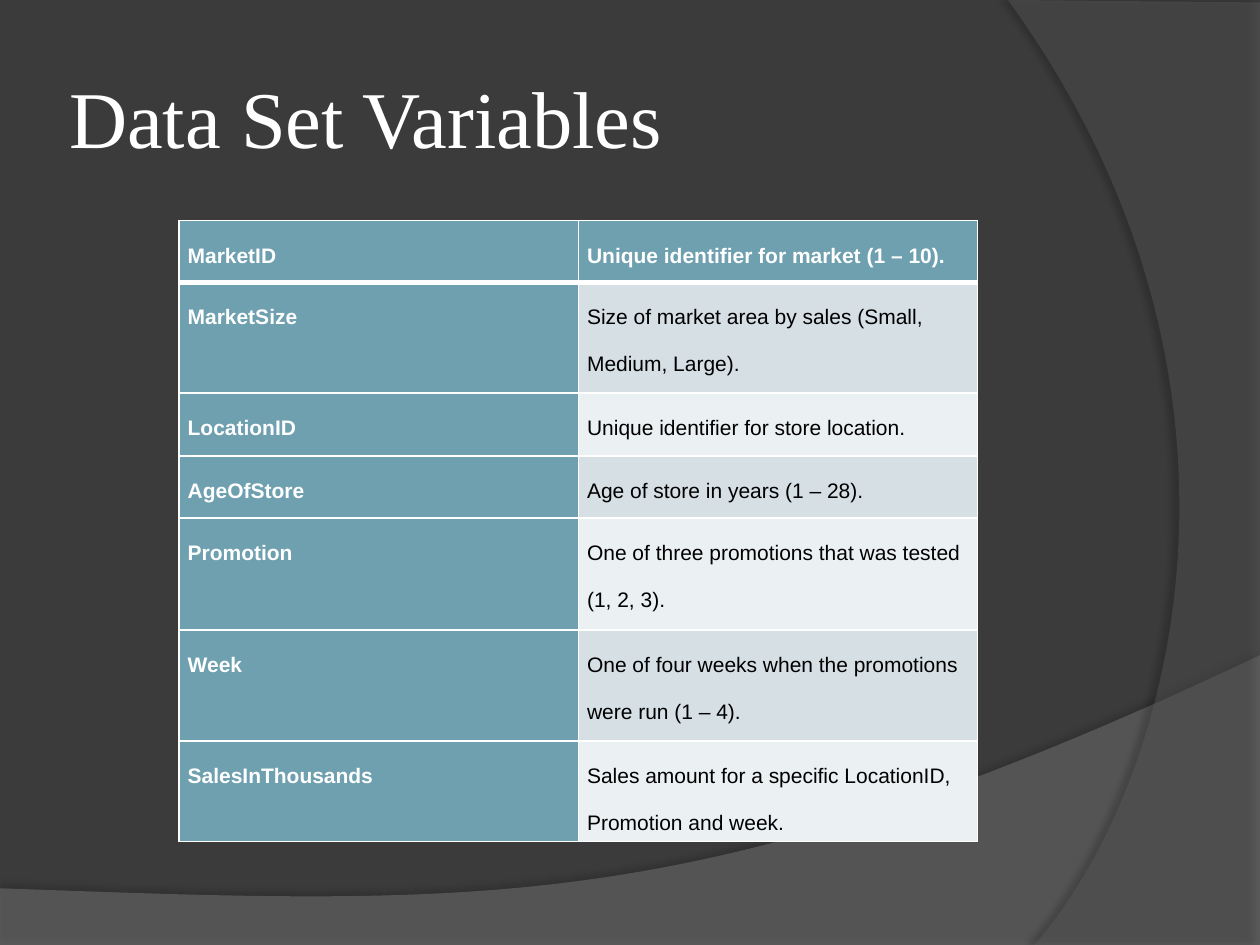
from dataclasses import dataclass

from pptx import Presentation
from pptx.dml.color import RGBColor
from pptx.enum.text import MSO_ANCHOR
from pptx.oxml import parse_xml
from pptx.oxml.ns import nsdecls, qn
from pptx.util import Inches, Pt

COLORS = {
    "background": "3B3B3B",
    "wave": "7F7F7F",
    "arc": "5E5E5E",
    "shadow": "000000",
    "white": "FFFFFF",
    "black": "000000",
    "teal": "6EA0B0",
    "band_dark": "D5DFE4",
    "band_light": "EBF0F2",
}
Point = tuple[float, float]


@dataclass
class Swoosh:
    points: list[Point]
    color: str
    opacity: int
    shadow_opacity: int
    shadow_distance: float
    shadow_angle: int


@dataclass
class Variable:
    name: str
    description: str
    height: float


def rgb(name: str) -> RGBColor:
    return RGBColor.from_string(COLORS[name])


def bezier(a: Point, b: Point, c: Point, d: Point, steps: int = 60) -> list[Point]:
    def at(t: float) -> Point:
        u = 1 - t
        weights = (u**3, 3 * u * u * t, 3 * u * t * t, t**3)
        x, y = (sum(w * v for w, v in zip(weights, axis)) for axis in zip(a, b, c, d))
        return x, y

    return [at(i / steps) for i in range(steps + 1)]


def draw_swoosh(slide, swoosh: Swoosh) -> None:
    first, *rest = [(Inches(x), Inches(y)) for x, y in swoosh.points]
    builder = slide.shapes.build_freeform(*first, scale=1.0)
    builder.add_line_segments(rest, close=True)
    s = builder.convert_to_shape()
    s.fill.solid()
    s.fill.fore_color.rgb = rgb(swoosh.color)
    s.line.fill.background()
    s.shadow.inherit = False
    spPr = s._element.spPr
    color = spPr.find(qn("a:solidFill")).find(qn("a:srgbClr"))
    color.append(parse_xml(f'<a:alpha {nsdecls("a")} val="{swoosh.opacity * 1000}"/>'))
    spPr.find(qn("a:effectLst")).append(parse_xml(
        f'<a:outerShdw {nsdecls("a")} blurRad="{Pt(4)}" dist="{Pt(swoosh.shadow_distance)}" '
        f'dir="{swoosh.shadow_angle * 60000}" algn="ctr" rotWithShape="0">'
        f'<a:srgbClr val="{COLORS["shadow"]}"><a:alpha val="{swoosh.shadow_opacity * 1000}"/>'
        f'</a:srgbClr></a:outerShdw>'))


def draw_title(slide, text: str) -> None:
    s = slide.shapes.add_textbox(Inches(0.5), Inches(0.3), Inches(8.17), Inches(1.25))
    tf = s.text_frame
    tf.word_wrap = True
    tf.vertical_anchor = MSO_ANCHOR.MIDDLE
    tf.margin_left = tf.margin_right = tf.margin_top = tf.margin_bottom = Inches(0.05)
    tf.text = text
    font = tf.paragraphs[0].runs[0].font
    font.name, font.size = "Times New Roman", Pt(46)
    font.color.rgb = rgb("white")


def set_borders(cell, top: float, bottom: float) -> None:
    tcPr = cell._tc.get_or_add_tcPr()
    widths = {"L": 1, "R": 1, "T": top, "B": bottom}
    for i, (side, width) in enumerate(widths.items()):
        tcPr.insert(i, parse_xml(
            f'<a:ln{side} {nsdecls("a")} w="{Pt(width)}"><a:solidFill>'
            f'<a:srgbClr val="{COLORS["white"]}"/></a:solidFill></a:ln{side}>'))


def fill_cell(cell, text: str, fill: str, color: str, bold: bool) -> None:
    cell.fill.solid()
    cell.fill.fore_color.rgb = rgb(fill)
    cell.margin_left = cell.margin_right = Inches(0.07)
    cell.margin_top = cell.margin_bottom = 0
    cell.text_frame.text = text
    p = cell.text_frame.paragraphs[0]
    p.line_spacing = 2.0
    p.space_after = Pt(8)
    font = p.runs[0].font
    font.name, font.size, font.bold = "Arial", Pt(12), bold
    font.color.rgb = rgb(color)


def draw_table(slide, variables: list[Variable]) -> None:
    height = sum(v.height for v in variables)
    frame = slide.shapes.add_table(
        len(variables), 2, Inches(1.42), Inches(1.75), Inches(6.34), Inches(height))
    table = frame.table
    table.first_col = True
    for column in table.columns:
        column.width = Inches(3.17)
    for i, variable in enumerate(variables):
        table.rows[i].height = Inches(variable.height)
        band = "band_dark" if i % 2 else "band_light"
        for j, text in enumerate((variable.name, variable.description)):
            cell = table.cell(i, j)
            if i == 0 or j == 0:
                fill_cell(cell, text, "teal", "white", True)
            else:
                fill_cell(cell, text, band, "black", False)
            set_borders(cell, top=3 if i == 1 else 1, bottom=3 if i == 0 else 1)


SWOOSHES = [
    Swoosh([(0, 7.51), (10, 7.51)] + bezier((10, 5.2), (5.59, 7.29), (3.91, 7.19), (0, 7.05)),
           "wave", 45, 35, 3.5, 270),
    Swoosh([(10, 0.02), (10, 7.5)] + bezier((8.21, 7.5), (9.35, 6.19), (10.18, 3), (8, 0)),
           "arc", 40, 45, 4, 180),
]
VARIABLES = [
    Variable("MarketID", "Unique identifier for market (1 – 10).", 0.49),
    Variable("MarketSize", "Size of market area by sales (Small, Medium, Large).", 0.88),
    Variable("LocationID", "Unique identifier for store location.", 0.5),
    Variable("AgeOfStore", "Age of store in years (1 – 28).", 0.49),
    Variable("Promotion", "One of three promotions that was tested (1, 2, 3).", 0.89),
    Variable("Week", "One of four weeks when the promotions were run (1 – 4).", 0.88),
    Variable("SalesInThousands",
             "Sales amount for a specific LocationID, Promotion and week.", 0.8),
]


def main() -> None:
    prs = Presentation()
    prs.slide_width, prs.slide_height = Inches(10), Inches(7.5)
    slide = prs.slides.add_slide(prs.slide_layouts[6])
    slide.background.fill.solid()
    slide.background.fill.fore_color.rgb = rgb("background")
    for swoosh in SWOOSHES:
        draw_swoosh(slide, swoosh)
    draw_title(slide, "Data Set Variables")
    draw_table(slide, VARIABLES)
    prs.save("out.pptx")


if __name__ == "__main__":
    main()
